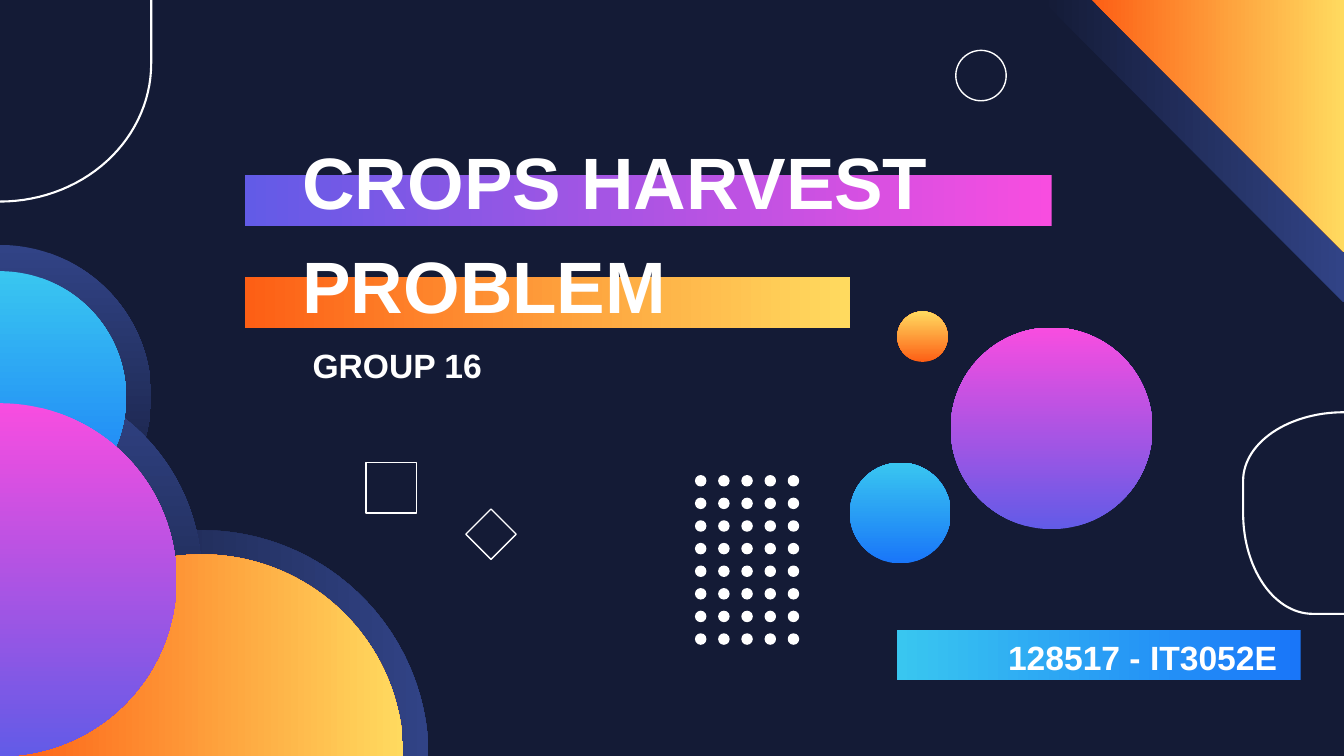
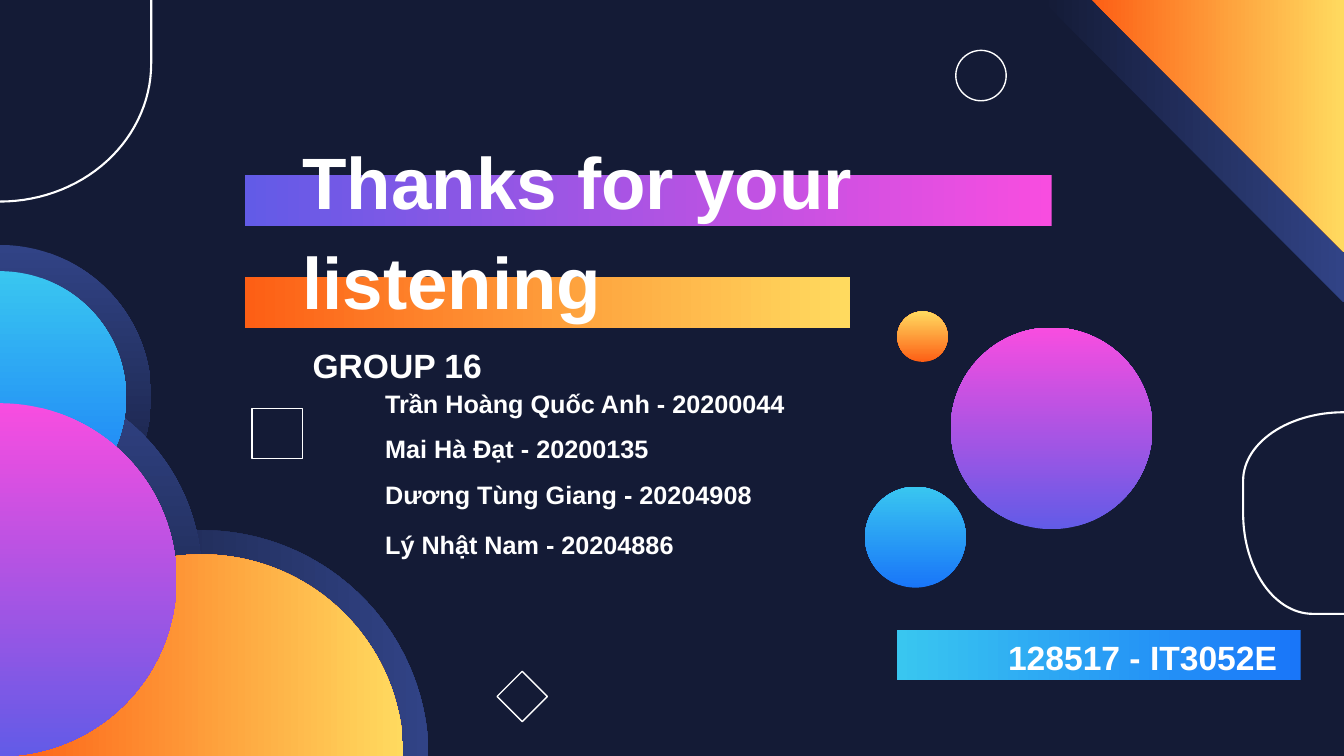
from math import cos, radians, sin
from pptx import Presentation
from pptx.dml.color import RGBColor
from pptx.enum.shapes import MSO_SHAPE
from pptx.enum.text import MSO_ANCHOR, MSO_AUTO_SIZE, PP_ALIGN
from pptx.util import Inches, Pt
from lxml.etree import SubElement
from pptx.oxml.ns import qn

HEX = {"navy": "141B36", "steel": "314386", "orange": "FD5F15", "yellow": "FFDA5F",
       "cyan": "39C6F0", "blue": "1976F9", "pink": "F84DE0", "violet": "625BE7",
       "white": "FFFFFF"}
RGB = {name: RGBColor.from_string(value) for name, value in HEX.items()}

PIE, TRI = MSO_SHAPE.PIE, MSO_SHAPE.RIGHT_TRIANGLE
RECT, OVAL, GEM = MSO_SHAPE.RECTANGLE, MSO_SHAPE.OVAL, MSO_SHAPE.DIAMOND

BLENDS = [
    (PIE, -0.25, 5.26, 4.5, 4.5, 180, 180, "navy", "steel"),
    (PIE, -1.5, 2.43, 3, 3, 270, 180, "steel", "navy"),
    (PIE, -2, 3.72, 4, 4, 270, 180, "steel", "navy"),
    (TRI, 10.33, 0, 3, 3, 180, 180, "navy", "steel"),
    (TRI, 10.83, 0, 2.5, 2.5, 180, 180, "orange", "yellow"),
    (PIE, -1.25, 2.69, 2.5, 2.5, 270, 180, "cyan", "blue"),
    (PIE, 0, 5.5, 4, 4, 180, 180, "orange", "yellow"),
    (PIE, -1.75, 4, 3.5, 3.5, 270, 180, "pink", "violet"),
    (RECT, 2.43, 1.74, 8, 0.5, 0, 180, "pink", "violet"),
    (RECT, 2.43, 2.75, 6, 0.5, 0, 180, "yellow", "orange"),
    (RECT, 8.9, 6.25, 4, 0.5, 0, 180, "blue", "cyan"),
    (OVAL, 9.43, 3.25, 2, 2, 0, 90, "violet", "pink"),
    (OVAL, 8.9, 3.09, 0.5, 0.5, 0, 90, "orange", "yellow"),
]

ARCS = {
    "corner": [(0, 0.63, 1.5, 1.37, 0, 90)],
    "edge": [(13.33, 4.77, 1, 0.68, 270, 180), (13.02, 5.09, 0.69, 1, 180, 90)],
}
ENDS = {"corner": ((1.5, 0), None), "edge": (None, (13.33, 6.09))}

PAGES = [
    {"layout": 0, "title": ["CROPS HARVEST", "PROBLEM"], "gap": 12,
     "ball": (8.43, 4.59), "box": (3.63, 4.59), "gem": (4.62, 5.05),
     "dots": True, "names": []},
    {"layout": 3, "title": ["Thanks for your", "listening"], "gap": 9,
     "ball": (8.58, 4.83), "box": (2.5, 4.05), "gem": (4.93, 6.66),
     "dots": False,
     "names": ["Trần Hoàng Quốc Anh - 20200044", "Mai Hà Đạt - 20200135",
               "Dương Tùng Giang - 20204908", "Lý Nhật Nam - 20204886"]},
]


def draw(kind, x, y, w, h, turn=0, angle=None, first=None, last=None):
    shape = slide.shapes.add_shape(kind, Inches(x), Inches(y), Inches(w), Inches(h))
    shape.shadow.inherit = False
    shape.rotation = turn
    if kind == PIE:
        shape.adjustments[0] = 0
        shape.adjustments[1] = 108
    if first:
        shape.fill.gradient()
        shape.fill.gradient_angle = angle
        for stop, name in zip(shape.fill.gradient_stops, (first, last)):
            stop.color.rgb = RGB[name]
        shape.line.fill.background()
    else:
        shape.fill.background()
        shape.line.color.rgb = RGB["white"]
        shape.line.width = Pt(1)
    return shape


def write(shape, x, y, w, h, lines, size, gaps):
    shape.left, shape.top = Inches(x), Inches(y)
    shape.width, shape.height = Inches(w), Inches(h)
    slide.shapes._spTree.append(shape._element)
    frame = shape.text_frame
    frame.word_wrap = True
    frame.auto_size = MSO_AUTO_SIZE.NONE
    frame.vertical_anchor = MSO_ANCHOR.TOP
    for i, (line, gap) in enumerate(zip(lines, gaps)):
        para = frame.add_paragraph() if i else frame.paragraphs[0]
        para.alignment = PP_ALIGN.LEFT
        para.line_spacing = 1.0
        para.space_before = Pt(gap)
        para.space_after = Pt(0)
        props = para._p.get_or_add_pPr()
        props.set("marL", "0")
        props.set("indent", "0")
        SubElement(props, qn("a:buNone"))
        run = para.add_run()
        run.text = line
        run.font.name = "Arial"
        run.font.size = Pt(size)
        run.font.bold = True
        run.font.color.rgb = RGB["white"]


deck = Presentation()
deck.slide_width, deck.slide_height = Inches(13.33), Inches(7.5)

for page in PAGES:
    slide = deck.slides.add_slide(deck.slide_layouts[page["layout"]])
    slide.background.fill.solid()
    slide.background.fill.fore_color.rgb = RGB["navy"]

    for blend in BLENDS:
        draw(*blend)
    draw(OVAL, *page["ball"], 1, 1, 0, 90, "blue", "cyan")

    for key, arcs in ARCS.items():
        head, tail = ENDS[key]
        points = [head] if head else []
        for cx, cy, rx, ry, start, stop in arcs:
            for i in range(31):
                turn = radians(start + (stop - start) * i / 30)
                points.append((cx + rx * cos(turn), cy + ry * sin(turn)))
        if tail:
            points.append(tail)
        points = [(Inches(x), Inches(y)) for x, y in points]
        pen = slide.shapes.build_freeform(*points[0])
        pen.add_line_segments(points[1:], close=False)
        curve = pen.convert_to_shape()
        curve.shadow.inherit = False
        curve.fill.background()
        curve.line.color.rgb = RGB["white"]
        curve.line.width = Pt(1.5)

    draw(OVAL, 9.48, 0.5, 0.5, 0.5)
    draw(RECT, *page["box"], 0.5, 0.5)
    draw(GEM, *page["gem"], 0.5, 0.5)

    if page["dots"]:
        for row in range(8):
            for col in range(5):
                dot = draw(OVAL, 6.9 + 0.23 * col, 4.72 + 1.57 / 7 * row, 0.1, 0.1)
                dot.fill.solid()
                dot.fill.fore_color.rgb = RGB["white"]

    write(slide.shapes.title, 2.9, 1.31, 6.68, 2, page["title"], 52, [0, page["gap"]])
    write(slide.placeholders[1], 3, 3.37, 3, 0.5, ["GROUP 16"], 24, [0])
    code = slide.shapes.add_textbox(0, 0, 0, 0)
    write(code, 9.9, 6.27, 3, 0.5, ["128517 - IT3052E"], 24, [0])
    if page["names"]:
        write(slide.placeholders[2], 3.72, 3.8, 5.61, 1.75, page["names"], 18,
              [0, 11, 11, 14])

deck.save("out.pptx")
